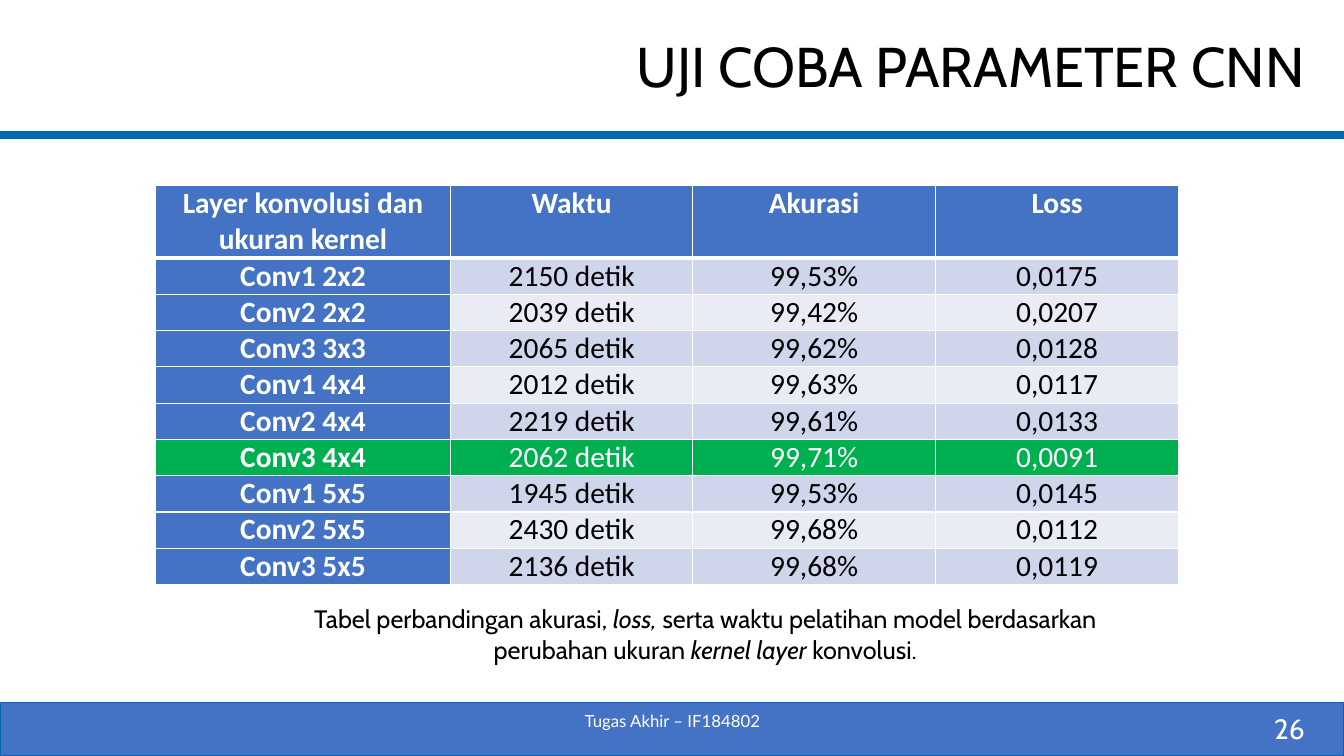
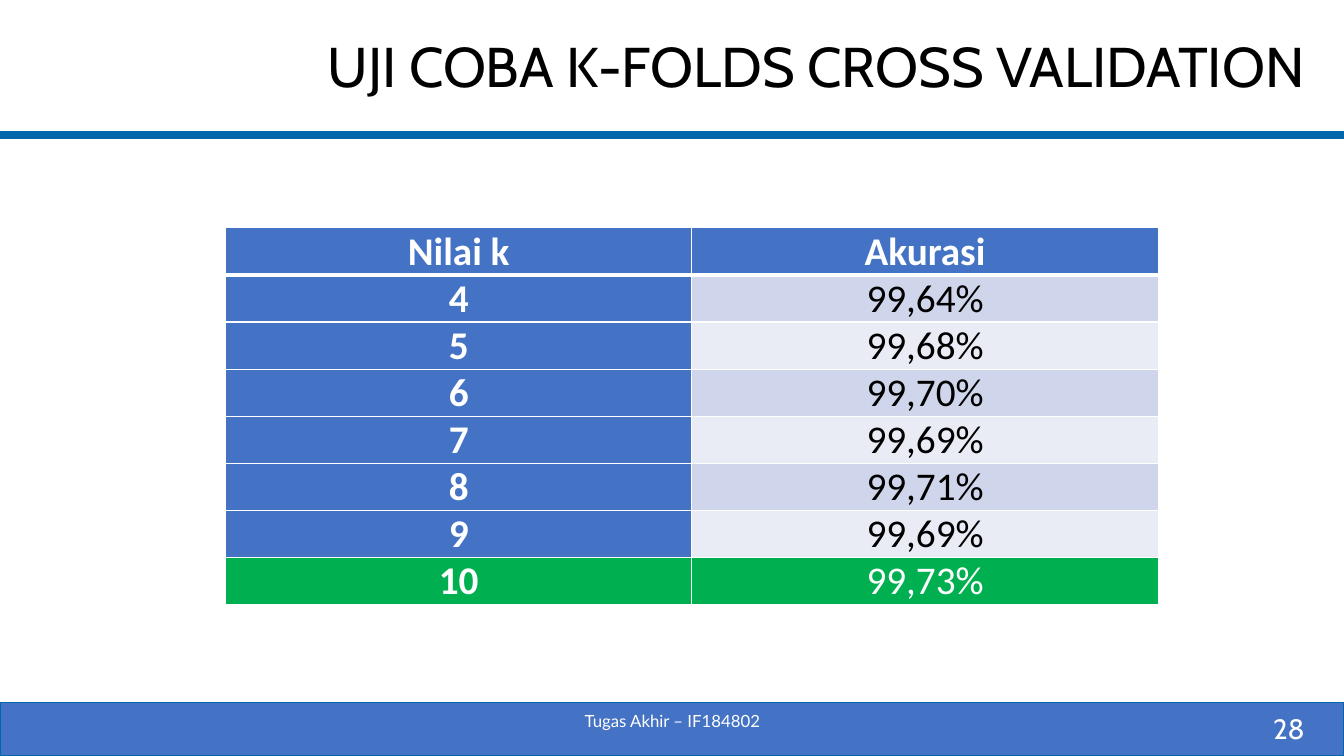
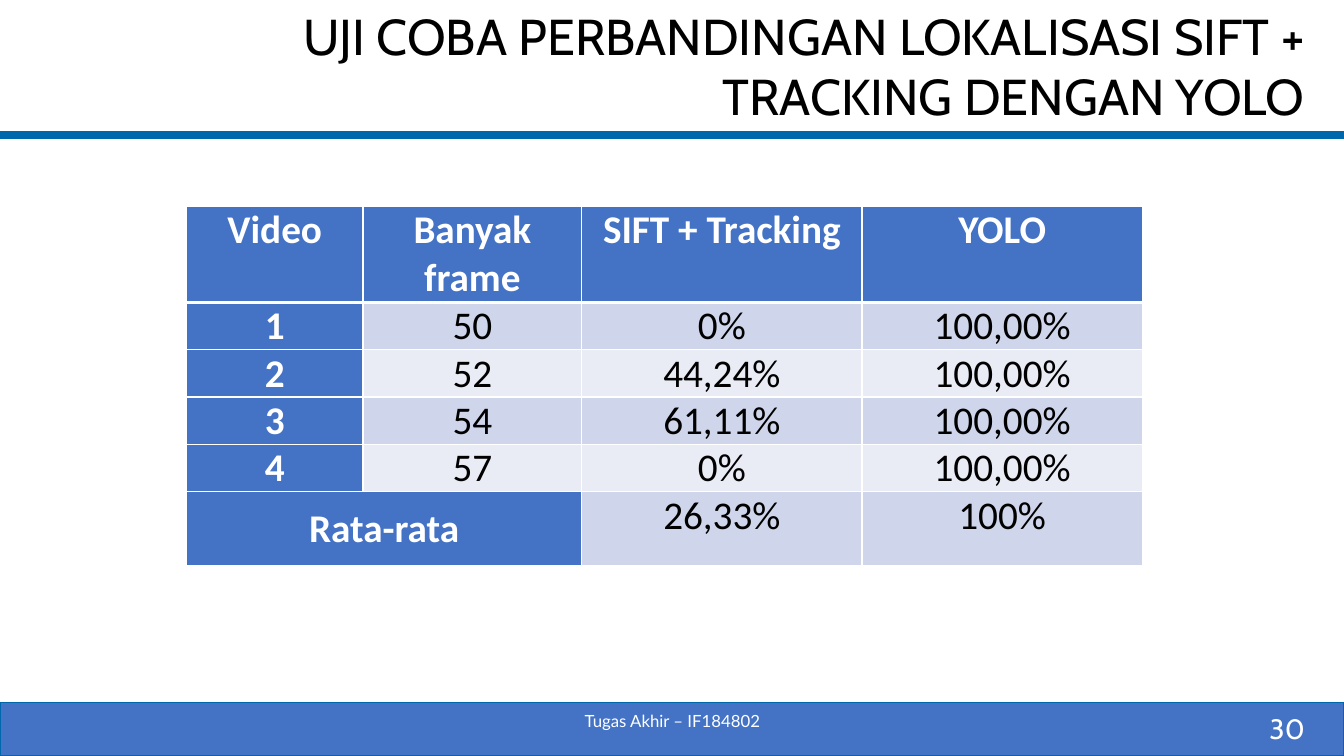
from dataclasses import dataclass

from lxml import etree
from pptx import Presentation
from pptx import util as u
from pptx.dml.color import RGBColor
from pptx.enum import shapes, text
from pptx.oxml.ns import qn


@dataclass(frozen=True)
class Theme:
    blue: str = "4472C4"
    deep: str = "0067AC"
    green: str = "00B050"
    white: str = "FFFFFF"
    black: str = "000000"
    bands: tuple = ("CFD5EA", "E9EBF5")
    head: str = "Cabin"
    foot: str = "Lato"
    grid: str = "Calibri"
    title: int = 40
    number: int = 20
    note: int = 18
    small: int = 12


ALIGN = text.PP_ALIGN
MIDDLE = text.MSO_ANCHOR.MIDDLE


class Deck:
    def __init__(self, theme):
        self.theme = theme
        self.show = Presentation()
        self.show.slide_width = u.Inches(13.33)
        self.show.slide_height = u.Inches(7.5)
        self.slide = None

    def style(self, para, size, face, color, align=ALIGN.CENTER, bold=False):
        para.alignment = align
        font = para.font
        font.size, font.name, font.bold = u.Pt(size), face, bold
        font.color.rgb = RGBColor.from_string(color)

    def start(self, title, number, size=None):
        look = self.theme
        self.slide = self.show.slides.add_slide(self.show.slide_layouts[5])
        self.rule(1.34)
        self.title(title, size or look.title)
        self.band(6.97, 0.53)
        self.label((10.04, 7.03, 3, 0.4), [number], look.number, look.head,
                   look.white, ALIGN.RIGHT, MIDDLE)
        self.label((4.42, 6.95, 4.5, 0.4), ["Tugas Akhir – IF184802"],
                   look.small, look.foot, look.white, anchor=MIDDLE)

    def title(self, words, size):
        box = self.slide.shapes.title
        box.left, box.top = u.Inches(1.54), u.Inches(0.23)
        box.width, box.height = u.Inches(11.5), u.Inches(0.84)
        frame = box.text_frame
        frame.text = words
        frame.word_wrap = True
        frame.auto_size = text.MSO_AUTO_SIZE.NONE
        frame.vertical_anchor = MIDDLE
        para = frame.paragraphs[0]
        para.line_spacing = 1.0
        self.style(para, size, self.theme.head, self.theme.black, ALIGN.RIGHT)

    def rule(self, top):
        line = self.slide.shapes.add_connector(
            shapes.MSO_CONNECTOR.STRAIGHT, 0, u.Inches(top),
            self.show.slide_width, u.Inches(top))
        line.line.color.rgb = RGBColor.from_string(self.theme.deep)
        line.line.width = u.Pt(6)
        etree.SubElement(line._element.spPr, qn("a:effectLst"))

    def band(self, top, height):
        bar = self.slide.shapes.add_shape(
            shapes.MSO_SHAPE.RECTANGLE, 0, u.Inches(top),
            self.show.slide_width, u.Inches(height))
        bar.shadow.inherit = False
        bar.fill.solid()
        bar.fill.fore_color.rgb = RGBColor.from_string(self.theme.blue)
        bar.line.color.rgb = RGBColor.from_string(self.theme.deep)
        bar.line.width = u.Pt(1)

    def label(self, place, parts, size, face, color, align=ALIGN.CENTER,
              anchor=text.MSO_ANCHOR.TOP):
        box = self.slide.shapes.add_textbox(*map(u.Inches, place))
        frame = box.text_frame
        frame.word_wrap = True
        frame.vertical_anchor = anchor
        para = frame.paragraphs[0]
        self.style(para, size, face, color, align)
        for index, part in enumerate(parts):
            run = para.add_run()
            run.text = part
            if index % 2:
                run.font.italic = True

    def note(self, place, parts):
        look = self.theme
        self.label(place, parts, look.note, look.head, look.black)

    def edge(self, cell, base):
        props = cell._tc.get_or_add_tcPr()
        widths = {"a:lnL": 1, "a:lnR": 1, "a:lnT": 1, "a:lnB": base}
        for index, (tag, width) in enumerate(widths.items()):
            line = etree.Element(qn(tag), w=str(u.Pt(width)))
            fill = etree.SubElement(line, qn("a:solidFill"))
            etree.SubElement(fill, qn("a:srgbClr"), val=self.theme.white)
            props.insert(index, line)

    def cell(self, cell, words, fill, color, size, bold, pad, base):
        cell.text = words
        cell.margin_left = cell.margin_right = u.Inches(pad)
        cell.margin_top = cell.margin_bottom = 0
        cell.fill.solid()
        cell.fill.fore_color.rgb = RGBColor.from_string(fill)
        self.style(cell.text_frame.paragraphs[0], size, self.theme.grid,
                   color, bold=bold)
        self.edge(cell, base)

    def table(self, left, top, cols, heights, rows, size, pad, best=None):
        look = self.theme
        head, body = heights
        total = head + body * (len(rows) - 1)
        grid = self.slide.shapes.add_table(
            len(rows), len(cols), u.Inches(left), u.Inches(top),
            u.Inches(sum(cols)), u.Inches(total)).table
        grid.horz_banding = False
        grid.first_col = True
        for col, width in zip(grid.columns, cols):
            col.width = u.Inches(width)
        for r, row in enumerate(rows):
            grid.rows[r].height = u.Inches(body if r else head)
            for c, words in enumerate(row):
                key = r == 0 or c == 0
                fill = look.blue if key else look.bands[(r - 1) % 2]
                if r == best:
                    fill = look.green
                color = look.white if key or r == best else look.black
                self.cell(grid.cell(r, c), words, fill, color, size, key,
                          pad, 1 if r else 3)
        return grid


def main():
    deck = Deck(Theme())

    deck.start("UJI COBA PARAMETER CNN", "26")
    tests = [
        ("Layer konvolusi dan ukuran kernel", "Waktu", "Akurasi", "Loss"),
        ("Conv1 2x2", "2150 detik", "99,53%", "0,0175"),
        ("Conv2 2x2", "2039 detik", "99,42%", "0,0207"),
        ("Conv3 3x3", "2065 detik", "99,62%", "0,0128"),
        ("Conv1 4x4", "2012 detik", "99,63%", "0,0117"),
        ("Conv2 4x4", "2219 detik", "99,61%", "0,0133"),
        ("Conv3 4x4", "2062 detik", "99,71%", "0,0091"),
        ("Conv1 5x5", "1945 detik", "99,53%", "0,0145"),
        ("Conv2 5x5", "2430 detik", "99,68%", "0,0112"),
        ("Conv3 5x5", "2136 detik", "99,68%", "0,0119"),
    ]
    deck.table(1.54, 1.84, (2.93, 2.4, 2.41, 2.41), (0.72, 0.36), tests,
               21, 0.2, best=6)
    deck.note((2.46, 5.94, 9.07, 0.71), [
        "Tabel perbandingan akurasi, ", "loss, ",
        "serta waktu pelatihan model berdasarkan perubahan ukuran ",
        "kernel layer ", "konvolusi."])

    deck.start("UJI COBA K-FOLDS CROSS VALIDATION", "28")
    folds = [
        ("Nilai k", "Akurasi"),
        ("4", "99,64%"),
        ("5", "99,68%"),
        ("6", "99,70%"),
        ("7", "99,69%"),
        ("8", "99,71%"),
        ("9", "99,69%"),
        ("10", "99,73%"),
    ]
    deck.table(2.24, 2.26, (4.62, 4.63), (0.46, 0.46), folds, 28, 0.26,
               best=7)

    deck.start("UJI COBA PERBANDINGAN LOKALISASI SIFT + "
               "TRACKING DENGAN YOLO", "30", 36)
    videos = [
        ("Video", "Banyak frame", "SIFT + Tracking", "YOLO"),
        ("1", "50", "0%", "100,00%"),
        ("2", "52", "44,24%", "100,00%"),
        ("3", "54", "61,11%", "100,00%"),
        ("4", "57", "0%", "100,00%"),
        ("Rata-rata", "", "26,33%", "100%"),
    ]
    grid = deck.table(1.85, 2.05, (1.75, 2.17, 2.78, 2.78), (0.95, 0.47),
                      videos, 28, 0.19)
    mean = grid.cell(5, 0)
    mean.merge(grid.cell(5, 1))
    mean.margin_left = mean.margin_right = u.Inches(0.26)
    mean.margin_top = mean.margin_bottom = u.Inches(0.13)
    grid.rows[5].height = u.Inches(0.73)

    deck.show.save("out.pptx")


if __name__ == "__main__":
    main()
